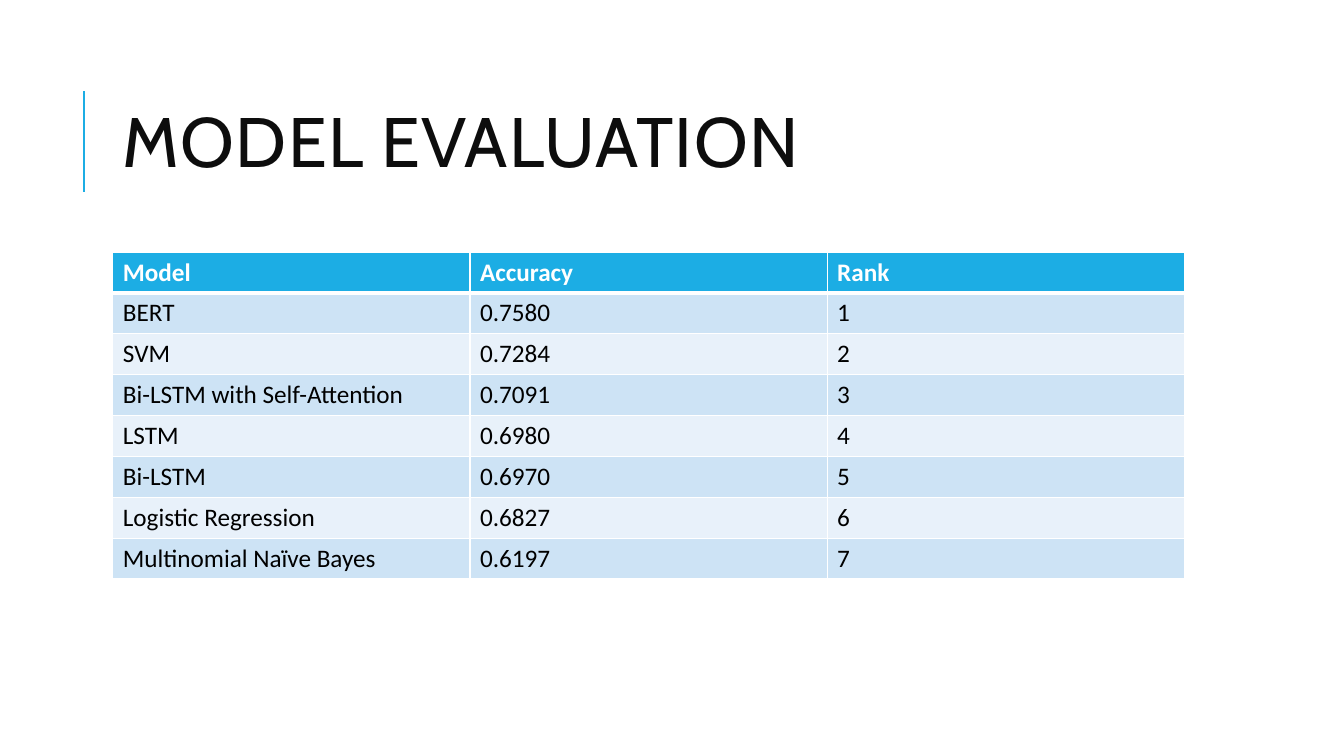
from lxml.etree import SubElement
from pptx import Presentation
from pptx.dml.color import RGBColor
from pptx.enum.shapes import MSO_CONNECTOR
from pptx.enum.text import MSO_ANCHOR, MSO_AUTO_SIZE, PP_ALIGN
from pptx.oxml import parse_xml
from pptx.oxml.ns import nsdecls, qn
from pptx.util import Pt

COLORS = {
    "accent": "1CADE4",
    "title": "0D0D0D",
    "text": "000000",
    "white": "FFFFFF",
    "dark": "CDE3F5",
    "light": "E8F1FA",
}
HEADS = ("Model", "Accuracy", "Rank")
SCORES = (
    ("BERT", "0.7580"),
    ("SVM", "0.7284"),
    ("Bi-LSTM with Self-Attention", "0.7091"),
    ("LSTM", "0.6980"),
    ("Bi-LSTM", "0.6970"),
    ("Logistic Regression", "0.6827"),
    ("Multinomial Naïve Bayes", "0.6197"),
)


def color(name):
    return RGBColor.from_string(COLORS[name])


def style(font, face, size, shade, bold=False):
    font.name = face
    font.size = Pt(size)
    font.color.rgb = color(shade)
    font.bold = bold


def add_title(slide, text, left, top, width, height):
    title = slide.shapes.title
    title.left, title.top = Pt(left), Pt(top)
    title.width, title.height = Pt(width), Pt(height)
    frame = title.text_frame
    frame.text = text
    frame.word_wrap = True
    frame.auto_size = MSO_AUTO_SIZE.NONE
    frame.vertical_anchor = MSO_ANCHOR.MIDDLE
    line = frame.paragraphs[0]
    line.alignment = PP_ALIGN.LEFT
    line.line_spacing = 0.8
    style(line.font, "Cabin", 50, "title")
    line.runs[0].font._element.set("spc", "100")

    side = left - 20.8
    rule = slide.shapes.add_connector(
        MSO_CONNECTOR.STRAIGHT,
        Pt(side), Pt(top + 90.8), Pt(side), Pt(top + 18.8),
    )
    rule.line.color.rgb = color("accent")
    rule.line.width = Pt(1.5)
    SubElement(rule._element.spPr, qn("a:effectLst"))


def set_edges(cell, widths):
    props = cell._tc.get_or_add_tcPr()
    for spot, (side, width) in enumerate(zip("LRTB", widths)):
        props.insert(spot, parse_xml(
            f'<a:ln{side} {nsdecls("a")} w="{Pt(width)}"><a:solidFill>'
            f'<a:srgbClr val="{COLORS["white"]}"/></a:solidFill></a:ln{side}>'
        ))


def add_scores(slide, left, top, width, height):
    rows = [HEADS] + [
        (*score, str(rank)) for rank, score in enumerate(SCORES, 1)
    ]
    table = slide.shapes.add_table(
        len(rows), len(HEADS), Pt(left), Pt(top), Pt(width), Pt(height)
    ).table
    for column in table.columns:
        column.width = Pt(width / len(HEADS))
    for i, row in enumerate(rows):
        table.rows[i].height = Pt(height / len(rows))
        head = i == 0
        fill = "accent" if head else "dark" if i % 2 else "light"
        edges = (1, 1, 3 if i == 1 else 1, 3 if head else 1)
        for j, text in enumerate(row):
            cell = table.cell(i, j)
            cell.text = text
            cell.fill.solid()
            cell.fill.fore_color.rgb = color(fill)
            set_edges(cell, edges)
            font = cell.text_frame.paragraphs[0].font
            style(font, "Calibri", 18, "white" if head else "text", head)


def main():
    deck = Presentation()
    deck.slide_width, deck.slide_height = Pt(960), Pt(540)
    slide = deck.slides.add_slide(deck.slide_layouts[5])
    add_title(slide, "MODEL EVALUATION", 80.6, 46, 765.4, 118)
    add_scores(slide, 80.6, 180, 765.4, 233.6)
    deck.save("out.pptx")


if __name__ == "__main__":
    main()
